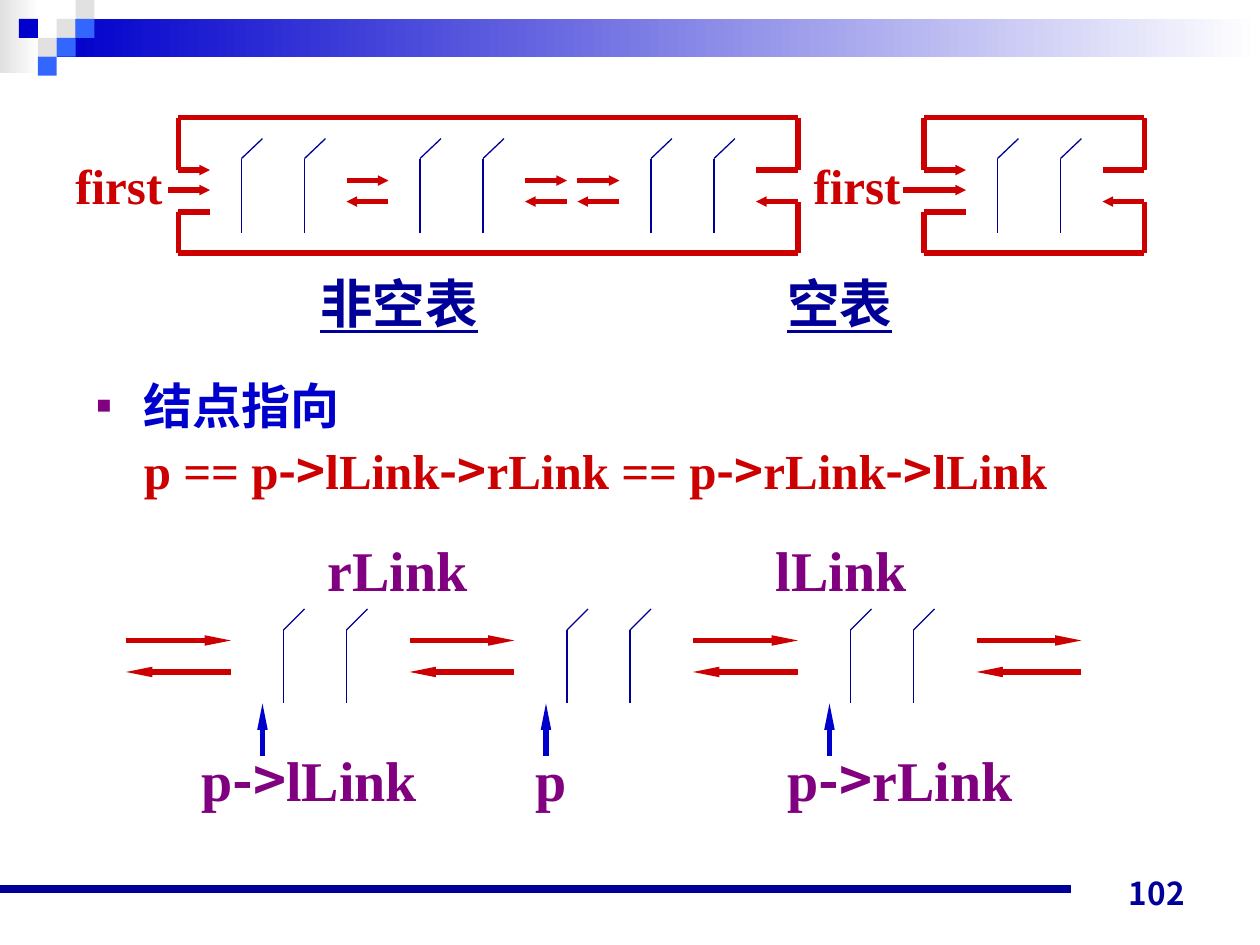
from lxml import etree
from pptx import Presentation
from pptx import util as u
from pptx.dml.color import RGBColor
from pptx.enum import shapes, text
from pptx.oxml.ns import qn

PX = 7620  # EMU per px, 120 px to the inch
THEME = dict(
    navy="000099", blue="0000CC", sky="3366FF", red="CC0000",
    purple="800080", grey="E1E1E1", white="FFFFFF",
    latin="Times New Roman", cjk="Noto Sans CJK SC", number="Noto Sans CJK JP",
    small=18, body=28, label=30, node=32, thin=0.75, thick=3, rule=4.5,
)
T = THEME

prs = Presentation()
prs.slide_width, prs.slide_height = 1200 * PX, 900 * PX
s = prs.slides.add_slide(prs.slide_layouts[1])
s.shapes.title.element.getparent().remove(s.shapes.title.element)


def add_line(x1, y1, x2, y2, color, width, head=None):
    """Draw a line; head is the length of the arrowhead at its end."""
    cx = s.shapes.add_connector(shapes.MSO_CONNECTOR.STRAIGHT,
                                x1 * PX, y1 * PX, x2 * PX, y2 * PX)
    cx.line.color.rgb = RGBColor.from_string(T[color])
    cx.line.width = u.Pt(width)
    if head:
        etree.SubElement(cx.line._ln, qn("a:tailEnd"),
                         type="triangle", w="sm", len=head)
    etree.SubElement(cx._element.spPr, qn("a:effectLst"))


def add_runs(p, runs, size, color):
    """Add (words, font, underline) runs in bold."""
    for words, font, underline in runs:
        r = p.add_run()
        r.text = words
        fmt = dict(name=T[font], size=u.Pt(size), bold=True, underline=underline)
        for key, value in fmt.items():
            setattr(r.font, key, value)
        r.font.color.rgb = RGBColor.from_string(T[color])
        r.font._element.find(qn("a:latin")).addnext(
            etree.Element(qn("a:ea"), typeface=T["cjk"]))


# Header: gradient bars, then checker squares on an 18 px grid
bars = [(0, 0, 37, 70, "grey"), (54, 18, 1146, 36, "blue")]
squares = [(3, 1, "grey"), (4, 0, "grey"), (4, 1, "sky"), (2, 2, "grey"),
           (1, 1, "blue"), (3, 2, "sky"), (2, 3, "sky")]
blocks = bars + [(18 * col, 18 * row, 18, 18, c) for col, row, c in squares]
for i, (x, y, w, h, color) in enumerate(blocks):
    sp = s.shapes.add_shape(shapes.MSO_SHAPE.RECTANGLE, x * PX, y * PX, w * PX, h * PX)
    sp.shadow.inherit = False
    sp.line.fill.background()
    if i < len(bars):
        sp.fill.gradient()
        sp.fill.gradient_angle = 0
        for stop, c in zip(sp.fill.gradient_stops, (color, "white")):
            stop.color.rgb = RGBColor.from_string(T[c])
    else:
        sp.fill.solid()
        sp.fill.fore_color.rgb = RGBColor.from_string(T[color])

# Footer rule
add_line(0, 847, 1020, 847, "navy", T["rule"])

# Body: bullet and formula
body = s.placeholders[1]
for key, value in dict(left=80, top=346, width=1080, height=160).items():
    setattr(body, key, value * PX)
tf = body.text_frame
tf.auto_size = text.MSO_AUTO_SIZE.NONE
p = tf.paragraphs[0]
p.line_spacing = 1.1
p.space_before = u.Pt(0)
pPr = p._p.get_or_add_pPr()
pPr.set("marL", str(45 * PX))
pPr.set("indent", str(-45 * PX))
bu = etree.SubElement(pPr, qn("a:buClr"))
etree.SubElement(bu, qn("a:srgbClr"), val=T["purple"])
etree.SubElement(pPr, qn("a:buSzPct"), val="50000")
etree.SubElement(pPr, qn("a:buFont"), typeface=T["latin"])
etree.SubElement(pPr, qn("a:buChar"), char="■")
add_runs(p, [("结点指向", "latin", None)], T["body"], "blue")
p.add_line_break()
formula = ["p == p", "->", "lLink", "->", "rLink == p", "->", "rLink", "->", "lLink"]
add_runs(p, [(w, "cjk" if w == "->" else "latin", None) for w in formula],
         T["body"], "red")

# Nodes: two posts, each with a slanted top
upper = [(x, 151, 222, 132) for x in (230, 400, 620, 950)]
lower = [(x, 600, 670, 580) for x in (270, 540, 810)]
for x, top, bottom, tip in upper + lower:
    for post in (x, x + 60):
        add_line(post, top, post, bottom, "navy", T["thin"])
        add_line(post, top, post + 20, tip, "navy", T["thin"])

# Link pairs: one arrow right, one arrow left below it
pairs = [(x, 40, 172, 192, "sm") for x in (330, 500, 550)]
pairs += [(120 + 270 * i, 100, 610, 640, "lg") for i in range(4)]
for x, w, y_right, y_left, head in pairs:
    add_line(x, y_right, x + w, y_right, "red", T["thick"], head)
    add_line(x + w, y_left, x, y_left, "red", T["thick"], head)

# Circular links round each list, and the arrow from first
for left, right, entry, first in [(170, 760, 200, 160), (880, 1090, 920, 860)]:
    for points, head in [
        ([(right - 40, 162), (right, 162), (right, 112),
          (left, 112), (left, 162), (entry, 162)], "sm"),
        ([(entry, 202), (left, 202), (left, 241),
          (right, 241), (right, 192), (right - 40, 192)], "sm"),
        ([(first, 181), (entry, 181)], "sm"),
    ]:
        for a, b in zip(points, points[1:]):
            add_line(*a, *b, "red", T["thick"], head if b == points[-1] else None)

# Pointers under the lower nodes
for i in range(3):
    x = 250 + 270 * i
    add_line(x, 720, x, 670, "blue", T["thick"], "lg")

# Labels: left, top, width, height, size, colour, runs
labels = [(x, 142, 107, 68, T["body"], "red", [("first", "latin", None)])
          for x in (60, 763)]
labels += [(x, y, w, 76, T["node"], "purple",
            [(t, "cjk" if t == "->" else "latin", None) for t in words])
           for x, y, w, words in [
               (180, 704, 240, ["p", "->", "lLink"]),
               (738, 704, 272, ["p", "->", "rLink"]),
               (498, 704, 56, ["p"]),
               (727, 504, 154, ["lLink"]),
               (300, 504, 164, ["rLink"])]]
labels += [(290, 251, 751, 74, T["label"], "navy",
            [("非空表", "cjk", True), ("\t", "cjk", False), ("空表", "cjk", True)]),
           (860, 814, 280, 60, T["small"], "navy", [("102", "number", None)])]
for x, y, w, h, size, color, runs in labels:
    tf = s.shapes.add_textbox(x * PX, y * PX, w * PX, h * PX).text_frame
    tf.word_wrap = True
    p = tf.paragraphs[0]
    if size == T["label"]:
        tf.margin_left = tf.margin_right = 15 * PX
        tf.margin_top = tf.margin_bottom = 7 * PX
        tabs = etree.SubElement(p._p.get_or_add_pPr(), qn("a:tabLst"))
        etree.SubElement(tabs, qn("a:tab"), pos=str(445 * PX), algn="l")
    elif size == T["small"]:
        tf.vertical_anchor = text.MSO_ANCHOR.BOTTOM
        p.alignment = text.PP_ALIGN.RIGHT
    else:
        tf.margin_right = 0  # room to keep each label on one line
    add_runs(p, runs, size, color)

prs.save("out.pptx")
